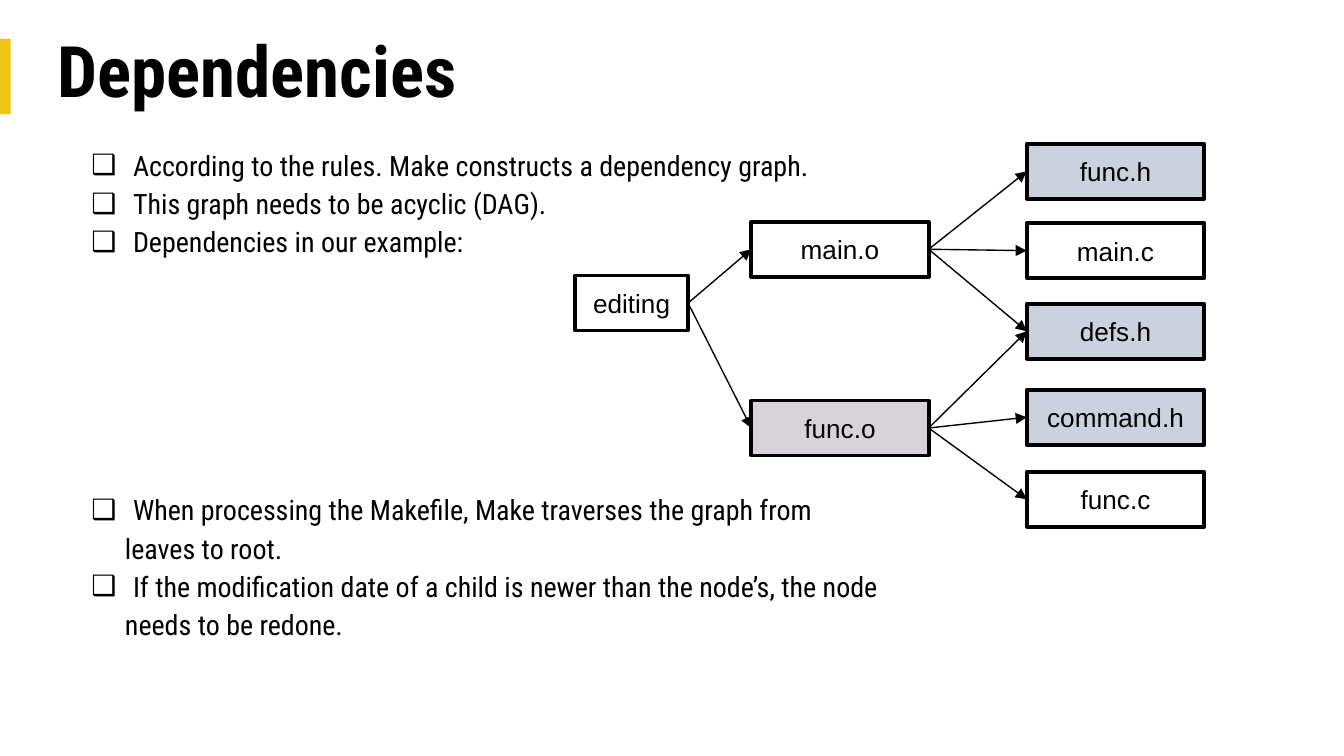
from lxml import etree
from pptx import Presentation
from pptx import util as u
from pptx.dml.color import RGBColor
from pptx.enum import shapes, text
from pptx.oxml import ns

WIDTH = 10
HEIGHT = WIDTH * 9 / 16
COLORS = {"ink": "000000", "accent": "EFC415", "header": "CCD2DD", "object": "D8D3D9"}

# Graph grid: left edge and width of each column, one shared node height
COLUMNS = {"root": (4.28, 0.84), "objects": (5.59, 1.32), "sources": (7.64, 1.32)}
NODE_HEIGHT = 0.41

# name: (column, top, fill)
NODES = {
    "editing": ("root", 2.05, None),
    "main.o": ("objects", 1.65, None),
    "func.o": ("objects", 2.98, "object"),
    "func.h": ("sources", 1.07, "header"),
    "main.c": ("sources", 1.66, None),
    "defs.h": ("sources", 2.26, "header"),
    "command.h": ("sources", 2.90, "header"),
    "func.c": ("sources", 3.51, None),
}
DEPENDENCIES = {
    "editing": ["main.o", "func.o"],
    "main.o": ["func.h", "main.c", "defs.h"],
    "func.o": ["defs.h", "command.h", "func.c"],
}
RIGHT_SITE, LEFT_SITE = 3, 1

GRAPH_GAP = 123  # points left free beside the graph
# (text, has bullet, space before in points)
NOTES = [
    ("According to the rules. Make constructs a dependency graph.", True, 0),
    ("This graph needs to be acyclic (DAG).", True, 0),
    ("Dependencies in our example:", True, 0),
    ("When processing the Makefile, Make traverses the graph from", True, GRAPH_GAP),
    ("leaves to root.", False, 0),
    ("If the modification date of a child is newer than the node’s, the node", True, 0),
    ("needs to be redone.", False, 0),
]

TITLE_FONT = {"name": "Roboto Condensed", "size": u.Pt(38), "bold": True}
NOTE_FONT = {"name": "Roboto Condensed", "size": u.Pt(15)}
NODE_FONT = {"name": "Arial", "size": u.Pt(14)}
FRAME = {
    "word_wrap": True,
    "margin_left": u.Inches(0.07),
    "margin_right": u.Inches(0.07),
    "margin_top": u.Inches(0.04),
    "margin_bottom": u.Inches(0.04),
}


def rgb(name):
    return RGBColor.from_string(COLORS[name])


def inches(*lengths):
    return [u.Inches(length) for length in lengths]


def apply_format(target, values):
    for attribute, value in values.items():
        setattr(target, attribute, value)


def write(paragraph, words, font):
    run = paragraph.add_run()
    run.text = words
    apply_format(run.font, font)
    run.font.color.rgb = rgb("ink")


def add_bar(slide):
    bar = slide.shapes.add_shape(
        shapes.MSO_SHAPE.RECTANGLE, *inches(0, 0.29, 0.08, 0.56))
    bar.shadow.inherit = False
    bar.fill.solid()
    bar.fill.fore_color.rgb = rgb("accent")
    bar.line.fill.background()


def add_frame(slide, top, height):
    """Add an empty text box across the slide's content width."""
    margin = 0.36
    box = slide.shapes.add_textbox(*inches(margin, top, WIDTH - 2 * margin, height))
    apply_format(box.text_frame, FRAME)
    return box.text_frame


def add_title(slide, words):
    frame = add_frame(slide, 0.21, 0.69)
    frame.vertical_anchor = text.MSO_ANCHOR.MIDDLE
    frame.paragraphs[0].line_spacing = 0.9
    write(frame.paragraphs[0], words, TITLE_FONT)


def set_indent(paragraph, bulleted):
    """Hang a box bullet, or align a continuation line without one."""
    left, first = (0.56, -0.31) if bulleted else (0.5, 0)
    properties = paragraph._p.get_or_add_pPr()
    properties.set("marL", str(u.Inches(left)))
    properties.set("indent", str(u.Inches(first)))
    if bulleted:
        color = etree.SubElement(properties, ns.qn("a:buClr"))
        etree.SubElement(color, ns.qn("a:srgbClr"), val=COLORS["ink"])
        etree.SubElement(properties, ns.qn("a:buFont"), typeface=NOTE_FONT["name"])
        etree.SubElement(properties, ns.qn("a:buChar"), char="❑")


def add_notes(slide):
    frame = add_frame(slide, 1.03, 4.26)
    for index, (words, bulleted, gap) in enumerate(NOTES):
        paragraph = frame.add_paragraph() if index else frame.paragraphs[0]
        paragraph.line_spacing = 1.14
        paragraph.space_before = u.Pt(gap)
        set_indent(paragraph, bulleted)
        write(paragraph, words, NOTE_FONT)


def add_node(slide, name):
    column, top, fill = NODES[name]
    left, width = COLUMNS[column]
    node = slide.shapes.add_shape(
        shapes.MSO_SHAPE.RECTANGLE, *inches(left, top, width, NODE_HEIGHT))
    node.shadow.inherit = False
    if fill:
        node.fill.solid()
        node.fill.fore_color.rgb = rgb(fill)
    else:
        node.fill.background()
    node.line.color.rgb = rgb("ink")
    node.line.width = u.Pt(2)
    node.text_frame.vertical_anchor = text.MSO_ANCHOR.MIDDLE
    paragraph = node.text_frame.paragraphs[0]
    paragraph.alignment = text.PP_ALIGN.CENTER
    write(paragraph, name, NODE_FONT)
    return node


def add_arrow(slide, target, dependency):
    arrow = slide.shapes.add_connector(shapes.MSO_CONNECTOR.STRAIGHT, 0, 0, 0, 0)
    arrow.begin_connect(target, RIGHT_SITE)
    arrow.end_connect(dependency, LEFT_SITE)
    arrow.line.color.rgb = rgb("ink")
    arrow.line.width = u.Pt(0.75)
    etree.SubElement(arrow.line._get_or_add_ln(), ns.qn("a:tailEnd"), type="triangle")
    etree.SubElement(arrow._element.spPr, ns.qn("a:effectLst"))


def add_graph(slide):
    nodes = {name: add_node(slide, name) for name in NODES}
    for target, dependencies in DEPENDENCIES.items():
        for dependency in dependencies:
            add_arrow(slide, nodes[target], nodes[dependency])


def main():
    deck = Presentation()
    deck.slide_width, deck.slide_height = inches(WIDTH, HEIGHT)
    slide = deck.slides.add_slide(deck.slide_layouts[6])
    add_bar(slide)
    add_title(slide, "Dependencies")
    add_notes(slide)
    add_graph(slide)
    deck.save("out.pptx")


if __name__ == "__main__":
    main()
